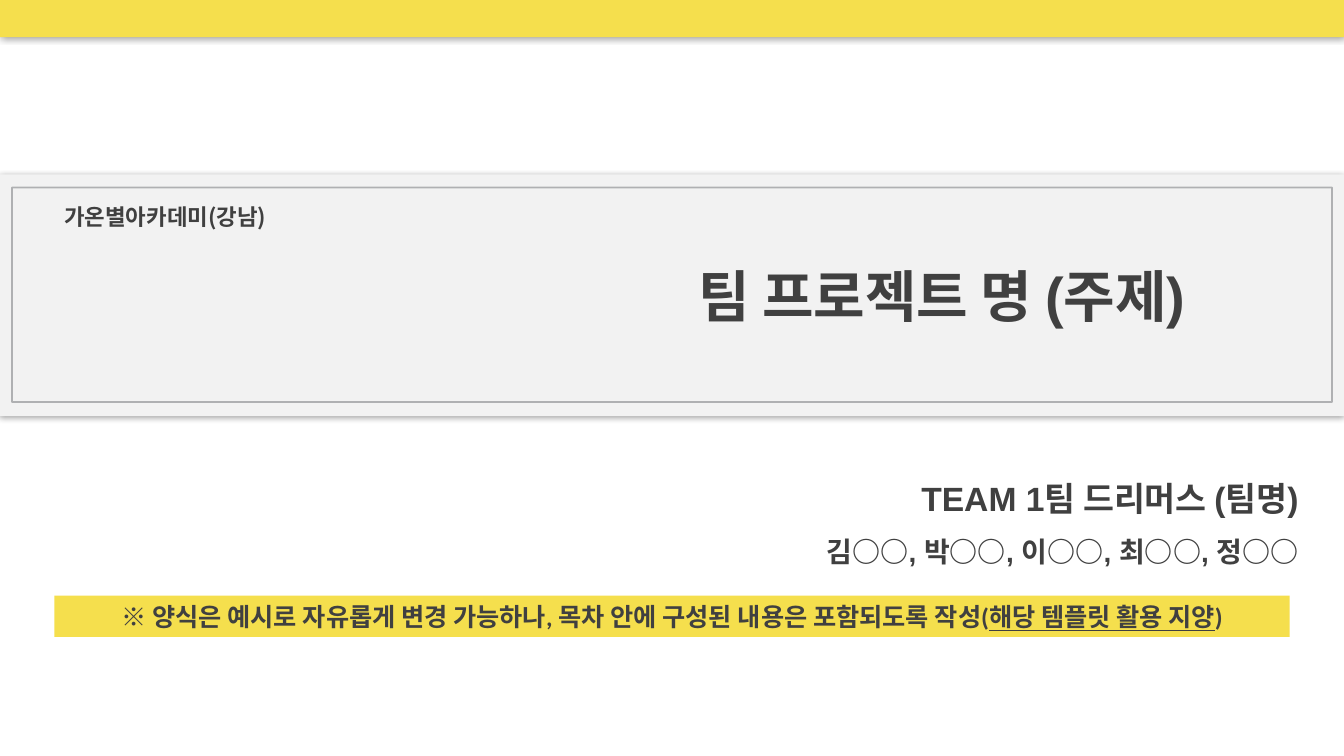
from lxml.etree import SubElement
from pptx import Presentation
from pptx.dml.color import RGBColor
from pptx.enum.shapes import MSO_SHAPE
from pptx.enum.text import MSO_ANCHOR, MSO_AUTO_SIZE, PP_ALIGN
from pptx.oxml.ns import qn
from pptx.util import Inches, Pt

YELLOW = RGBColor(0xF5, 0xDF, 0x4D)
PALE = RGBColor(0xF2, 0xF2, 0xF2)
GRAY = RGBColor(0x93, 0x95, 0x97)
DARK = RGBColor(0x40, 0x40, 0x40)
BLACK = RGBColor(0, 0, 0)
WIDTH = 13.33


def place(shape, left, top, width, height):
    """Move and size a shape, in inches."""
    shape.left, shape.top = Inches(left), Inches(top)
    shape.width, shape.height = Inches(width), Inches(height)


def add_color(parent, color, alpha):
    """Add a colour of the given opacity in percent."""
    node = SubElement(parent, qn("a:srgbClr"), val=str(color))
    SubElement(node, qn("a:alpha"), val=str(alpha * 1000))


def add_rect(slide, box, fill):
    """Add a flat rectangle without an outline."""
    rect = slide.shapes.add_shape(MSO_SHAPE.RECTANGLE, *map(Inches, box))
    rect.shadow.inherit = False
    rect.fill.solid()
    rect.fill.fore_color.rgb = fill
    rect.line.fill.background()
    return rect


def add_band(slide, top, height, fill):
    """Add a full-width band with a soft shadow."""
    band = add_rect(slide, (0, top, WIDTH, height), fill)
    effects = band.element.spPr.find(qn("a:effectLst"))
    shadow = SubElement(effects, qn("a:outerShdw"), blurRad=str(Pt(5)),
                        dist="0", dir="0", algn="ctr", rotWithShape="0")
    add_color(shadow, BLACK, 40)


def add_frame(slide, box):
    """Add an unfilled frame with a translucent line."""
    frame = add_rect(slide, box, PALE)
    frame.fill.background()
    frame.line.width = Pt(1.25)
    frame.line.color.rgb = GRAY
    fill = frame.element.spPr.find(qn("a:ln")).find(qn("a:solidFill"))
    fill.clear()
    add_color(fill, GRAY, 70)


def set_frame(shape, inset, anchor=MSO_ANCHOR.TOP):
    """Set wrapping, upper and lower insets, and anchor of a text frame."""
    frame = shape.text_frame
    frame.word_wrap = True
    frame.auto_size = MSO_AUTO_SIZE.NONE
    frame.vertical_anchor = anchor
    frame.margin_left = frame.margin_right = Inches(0.1)
    frame.margin_top = frame.margin_bottom = Inches(inset)
    return frame


def style(para, size, font, align=PP_ALIGN.CENTER, gap=1.0):
    """Format a whole paragraph in bold dark type."""
    para.alignment = align
    para.line_spacing = gap
    para.space_before = para.space_after = Pt(0)
    para.font.size = Pt(size)
    para.font.name = font
    para.font.bold = True
    para.font.color.rgb = DARK


def add_team(shape, lines):
    """Fill the subtitle with lines of text and size."""
    place(shape, 7.34, 4.54, 5.64, 1.11)
    frame = set_frame(shape, 0)
    frame.text = "\n".join(text for text, size in lines)
    for para, (text, size) in zip(frame.paragraphs, lines):
        style(para, size, "Arial", PP_ALIGN.RIGHT, 1.5)


def add_note(slide, parts):
    """Add the yellow note, with its second part underlined."""
    note = add_rect(slide, (0.54, 5.91, 12.25, 0.41), YELLOW)
    para = set_frame(note, 0.05, MSO_ANCHOR.MIDDLE).paragraphs[0]
    style(para, 18, "Calibri")
    for index, part in enumerate(parts):
        run = para.add_run()
        run.text = part
        run.font.color.rgb = DARK
        run.font.underline = index == 1


def add_label(slide, text):
    """Add the school label in the corner of the panel."""
    box = slide.shapes.add_textbox(*map(Inches, (0.2, 1.97, 2.88, 0.37)))
    frame = set_frame(box, 0.05)
    frame.text = text
    style(frame.paragraphs[0], 16, "Noto Sans CJK KR")


def add_title(slide, text):
    """Fill the title and bring it in front of the panel."""
    title = slide.shapes.title
    place(title, 5.64, 2.59, 7.4, 0.67)
    frame = set_frame(title, 0)
    frame.text = text
    style(frame.paragraphs[0], 40, "Arial")
    title.element.getparent().append(title.element)


def main():
    """Build the cover slide."""
    deck = Presentation()
    deck.slide_width, deck.slide_height = Inches(WIDTH), Inches(7.5)
    slide = deck.slides.add_slide(deck.slide_layouts[0])
    add_team(slide.placeholders[1], [("TEAM 1팀 드리머스 (팀명)", 24),
                                     ("김○○, 박○○, 이○○, 최○○, 정○○", 20)])
    add_note(slide, ["※ 양식은 예시로 자유롭게 변경 가능하나, "
                     "목차 안에 구성된 내용은 포함되도록 작성(",
                     "해당 템플릿 활용 지양", ")"])
    add_band(slide, 1.73, 2.4, PALE)
    add_label(slide, "가온별아카데미(강남)")
    add_title(slide, "팀 프로젝트 명 (주제)")
    add_band(slide, 0, 0.37, YELLOW)
    add_frame(slide, (0.12, 1.86, 13.09, 2.13))
    deck.save("out.pptx")


if __name__ == "__main__":
    main()
